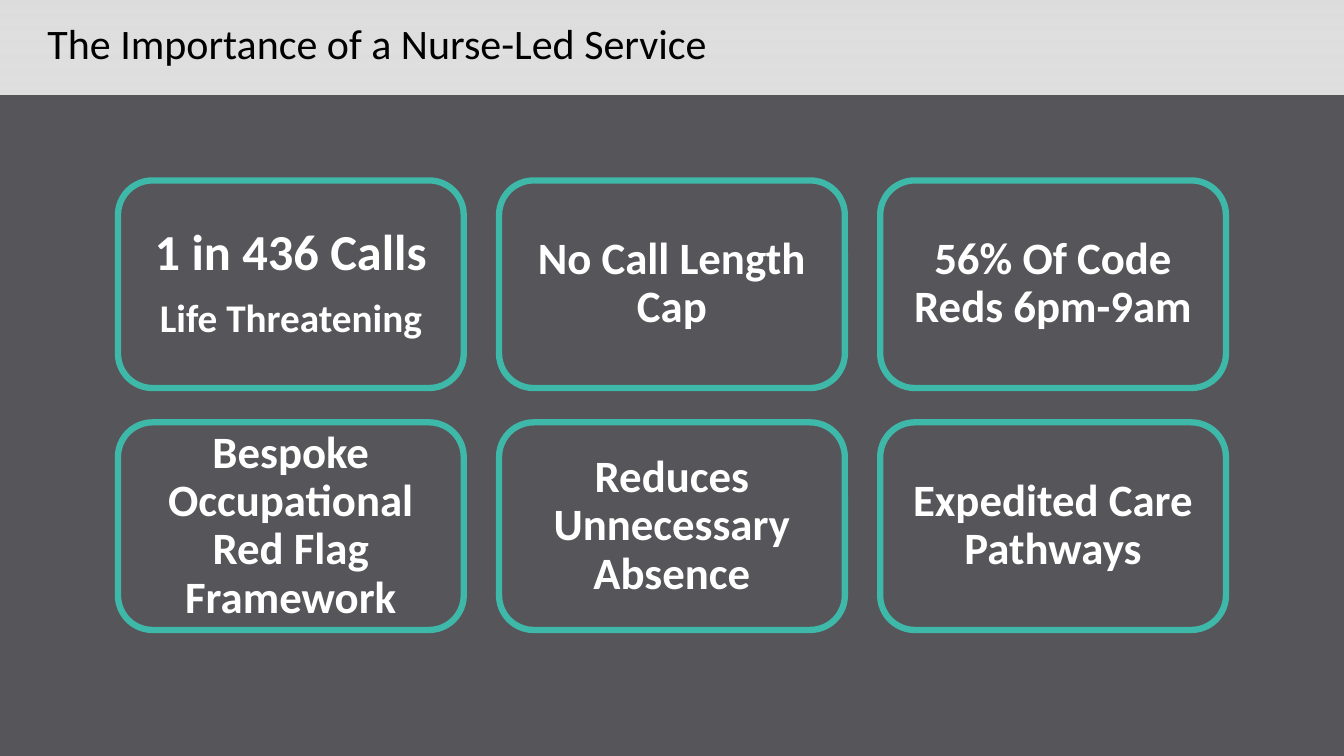
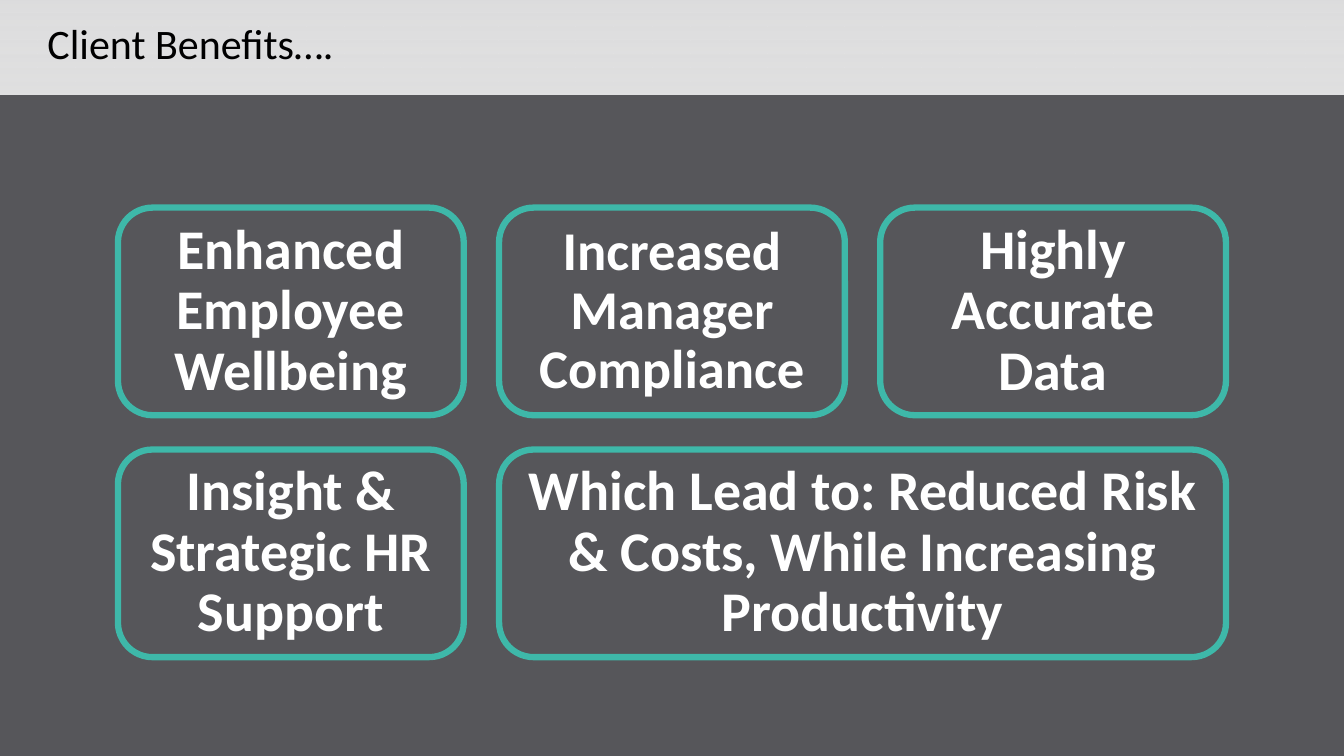
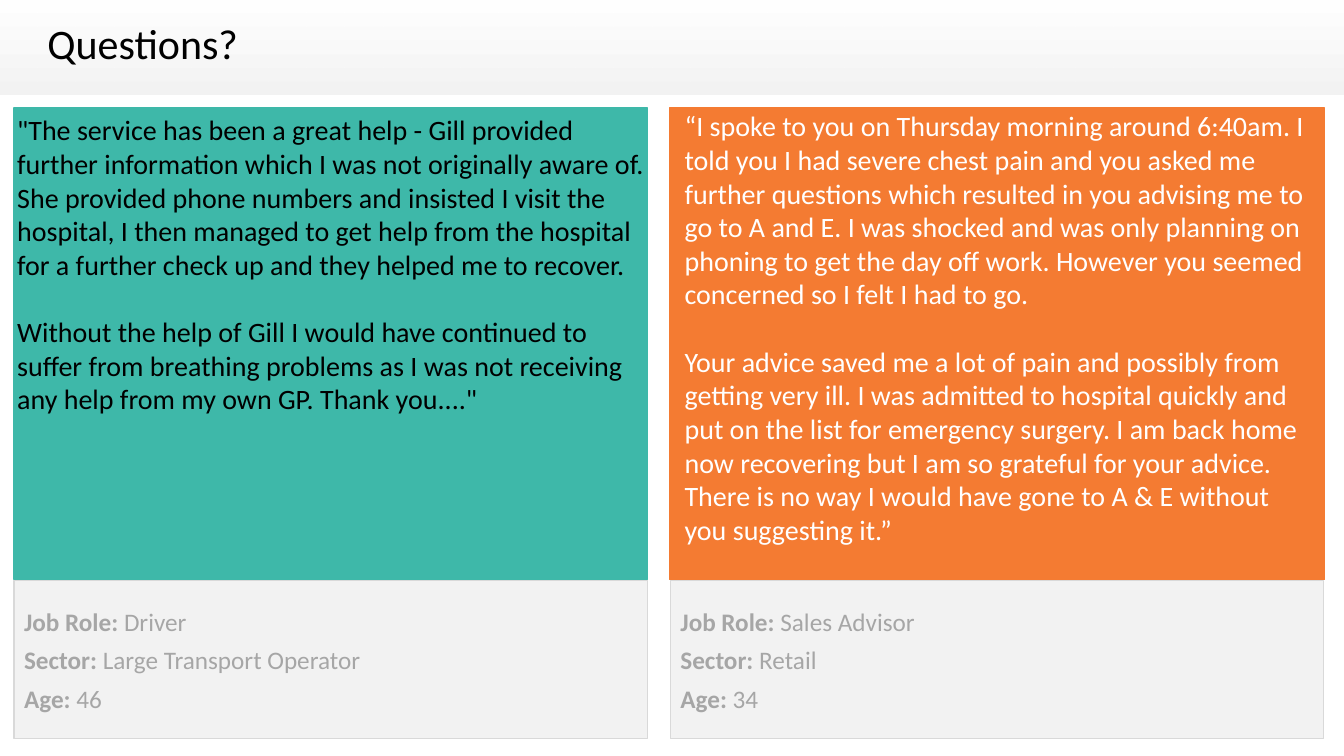
from lxml import etree
from pptx import Presentation
from pptx.dml.color import RGBColor
from pptx.enum.shapes import MSO_SHAPE
from pptx.enum.text import MSO_ANCHOR, MSO_AUTO_SIZE, PP_ALIGN
from pptx.oxml.ns import qn
from pptx.util import Emu, Pt

RECTANGLE = MSO_SHAPE.RECTANGLE
ROUNDED = MSO_SHAPE.ROUNDED_RECTANGLE
TOP, MIDDLE = MSO_ANCHOR.TOP, MSO_ANCHOR.MIDDLE
LEFT, CENTER = PP_ALIGN.LEFT, PP_ALIGN.CENTER
NO_AUTOFIT = MSO_AUTO_SIZE.NONE

EMU_PER_PX = 9144
SLIDE_WIDTH, SLIDE_HEIGHT = 1333, 750
TITLE_ONLY = 5
FONT = "Calibri"
TEAL, ORANGE, DARK = "3EB8A9", "F47B32", "56565A"
WHITE, BLACK, PALE = "FFFFFF", "000000", "F2F2F2"
PANEL_LINE, PANEL_TEXT = "D9D9D9", "A6A6A6"

CARD_LEFT, CARD_WIDTH, CARD_HEIGHT = 117, 343, 206
COLUMN_PITCH, ROW_PITCH = 378, 240
QUOTE_TOP, QUOTE_HEIGHT = 107, 468
PANEL_TOP, PANEL_HEIGHT = 576, 157

IMPORTANCE_CARDS = [
    (0, 0, 1, [("1 in 436 Calls", 36), ("Life Threatening", 28)], 15),
    (0, 1, 1, [("No Call Length Cap", 32)], 13),
    (0, 2, 1, [("56% Of Code Reds 6pm-9am", 32)], 13),
    (1, 0, 1, [("Bespoke Occupational Red Flag Framework", 32)], 13),
    (1, 1, 1, [("Reduces Unnecessary Absence", 32)], 13),
    (1, 2, 1, [("Expedited Care Pathways", 32)], 13),
]
BENEFIT_CARDS = [
    (0, 0, 1, [("Enhanced Employee Wellbeing", 40)], 17),
    (0, 1, 1, [("Increased Manager Compliance", 39)], 16),
    (0, 2, 1, [("Highly Accurate Data", 40)], 17),
    (1, 0, 1, [("Insight & Strategic HR Support", 40)], 17),
    (1, 1, 2, [("Which Lead to: Reduced Risk & Costs, While Increasing Productivity", 40)], 17),
]
DRIVER_QUOTE = [
    "\"The service has been a great help - Gill provided further information which I was not "
    "originally aware of. She provided phone numbers and insisted I visit the hospital, I then "
    "managed to get help from the hospital for a further check up and they helped me to recover.",
    "Without the help of Gill I would have continued to suffer from breathing problems as I was "
    "not receiving any help from my own GP. Thank you....\"",
]
ADVISOR_QUOTE = [
    "“I spoke to you on Thursday morning around 6:40am. I told you I had severe chest pain and "
    "you asked me further questions which resulted in you advising me to go to A and E. I was "
    "shocked and was only planning on phoning to get the day off work. However you seemed "
    "concerned so I felt I had to go.",
    "Your advice saved me a lot of pain and possibly from getting very ill. I was admitted to "
    "hospital quickly and put on the list for emergency surgery. I am back home now recovering "
    "but I am so grateful for your advice. There is no way I would have gone to A & E without "
    "you suggesting it.”",
]


def px(length):
    """Turn px into EMU."""
    return Emu(length * EMU_PER_PX)


def color(value):
    """Turn a hex string into a colour."""
    return RGBColor.from_string(value)


def add_box(slide, preset, place, fill=None, line=None, line_width=1):
    """Add a preset shape with an optional fill and outline."""
    shape = slide.shapes.add_shape(preset, *map(px, place))
    shape.shadow.inherit = False
    if fill:
        shape.fill.solid()
        shape.fill.fore_color.rgb = color(fill)
    else:
        shape.fill.background()
    if line:
        shape.line.color.rgb = color(line)
        shape.line.width = Pt(line_width)
    else:
        shape.line.fill.background()
    return shape


def write_text(shape, paragraphs, text_color, align=LEFT, anchor=MIDDLE,
               insets=(10, 5, 10, 5), spacing=1.0, gap=0):
    """Fill a shape with paragraphs of (text, size, bold) runs, gap points apart."""
    frame = shape.text_frame
    frame.word_wrap = True
    frame.auto_size = NO_AUTOFIT
    frame.vertical_anchor = anchor
    (frame.margin_left, frame.margin_top,
     frame.margin_right, frame.margin_bottom) = map(px, insets)
    for index, runs in enumerate(paragraphs):
        paragraph = frame.add_paragraph() if index else frame.paragraphs[0]
        paragraph.alignment = align
        paragraph.line_spacing = spacing
        paragraph.space_before = Pt(0)
        paragraph.space_after = Pt(gap if index < len(paragraphs) - 1 else 0)
        for text, size, bold in runs:
            run = paragraph.add_run()
            run.text = text
            run.font.name = FONT
            run.font.size = Pt(size)
            run.font.bold = bold
            run.font.color.rgb = color(text_color)


def add_layout_band(slide):
    """Put the translucent title band on the layout that the slides share."""
    band = add_box(slide, RECTANGLE, (0, 0, SLIDE_WIDTH, 94))
    band.fill.gradient()
    band.fill.gradient_angle = 90
    for stop, value in zip(band.fill.gradient_stops, (PALE, WHITE)):
        stop.color.rgb = color(value)
    element = band._element
    for tint, alpha in zip(element.spPr.iter(qn("a:srgbClr")), ("90000", "80000")):
        etree.SubElement(tint, qn("a:alpha")).set("val", alpha)
    element.nvSpPr.cNvPr.set("id", "20")
    slide.slide_layout.shapes._spTree.insert(2, element)


def add_titled_slide(presentation, title, background):
    """Add a slide with its background and formatted title."""
    slide = presentation.slides.add_slide(presentation.slide_layouts[TITLE_ONLY])
    slide.background.fill.solid()
    slide.background.fill.fore_color.rgb = color(background)
    shape = slide.shapes.title
    shape.left, shape.top, shape.width, shape.height = map(px, (37, 22, 1079, 48))
    write_text(shape, [[(title, 30, False)]], BLACK, spacing=0.9)
    return slide


def add_cards(slide, top, cards):
    """Lay outlined cards on the three-column grid."""
    for row, column, span, lines, inset in cards:
        place = (CARD_LEFT + column * COLUMN_PITCH, top + row * ROW_PITCH,
                 CARD_WIDTH + (span - 1) * COLUMN_PITCH, CARD_HEIGHT)
        card = add_box(slide, ROUNDED, place, line=TEAL, line_width=4.5)
        paragraphs = [[(text, size, True)] for text, size in lines]
        write_text(card, paragraphs, WHITE, CENTER, insets=(inset,) * 4, spacing=0.9, gap=12)


def add_quote(slide, left, width, fill, text_color, insets, texts):
    """Add a filled block with a quotation."""
    block = add_box(slide, RECTANGLE, (left, QUOTE_TOP, width, QUOTE_HEIGHT), fill, fill)
    paragraphs = [[(text, 20, False)] for text in texts]
    write_text(block, paragraphs, text_color, anchor=TOP, insets=insets, gap=24)


def add_speaker(slide, left, width, role, sector, age):
    """Add the panel that says who is quoted."""
    panel = add_box(slide, RECTANGLE, (left, PANEL_TOP, width, PANEL_HEIGHT), PALE, PANEL_LINE)
    details = (("Job Role: ", role), ("Sector: ", sector), ("Age: ", age))
    paragraphs = [[(label, 18, True), (value, 18, False)] for label, value in details]
    write_text(panel, paragraphs, PANEL_TEXT, gap=6)


def main():
    """Build and save the presentation."""
    presentation = Presentation()
    presentation.slide_width = px(SLIDE_WIDTH)
    presentation.slide_height = px(SLIDE_HEIGHT)

    importance = add_titled_slide(presentation, "The Importance of a Nurse-Led Service", DARK)
    add_layout_band(importance)
    add_cards(importance, 179, IMPORTANCE_CARDS)

    benefits = add_titled_slide(presentation, "Client Benefits….", DARK)
    add_cards(benefits, 206, BENEFIT_CARDS)

    questions = add_titled_slide(presentation, "Questions?", WHITE)
    add_quote(questions, 14, 628, TEAL, BLACK, (3, 5, 3, 5), DRIVER_QUOTE)
    add_speaker(questions, 14, 628, "Driver", "Large Transport Operator", "46")
    add_quote(questions, 664, 650, ORANGE, WHITE, (15, 1, 17, 5), ADVISOR_QUOTE)
    add_speaker(questions, 665, 648, "Sales Advisor", "Retail", "34")

    presentation.save("out.pptx")


if __name__ == "__main__":
    main()
